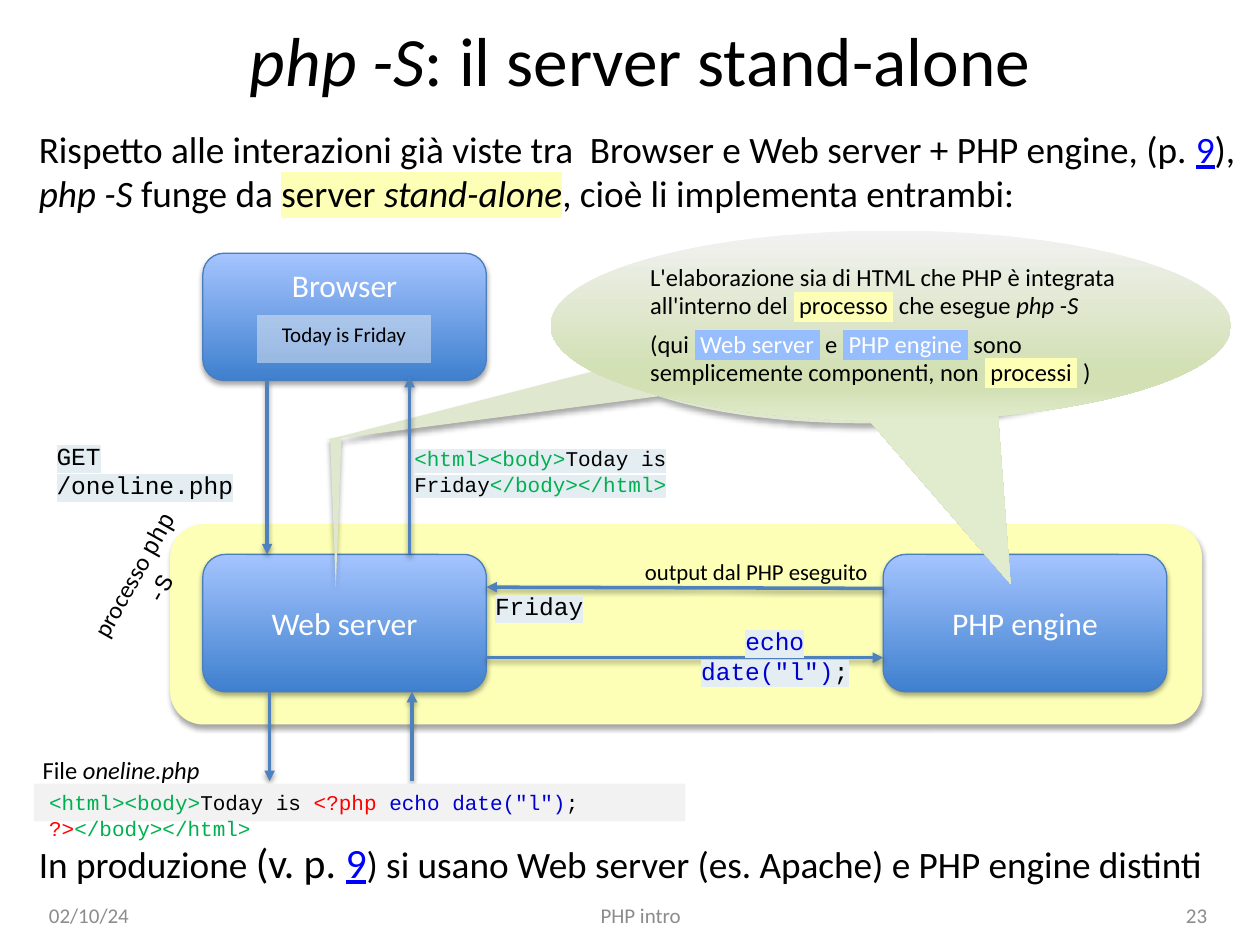
from dataclasses import dataclass

from lxml import etree
from pptx import Presentation
from pptx.dml.color import RGBColor
from pptx.enum import shapes, text
from pptx.oxml import ns
from pptx.util import Inches, Pt


@dataclass(frozen=True)
class Theme:
    sans: str = "Calibri"
    mono: str = "Courier New"
    black: str = "000000"
    white: str = "FFFFFF"
    muted: str = "8C8C8C"
    link: str = "0000FF"
    tag: str = "00B050"
    php: str = "FF0000"
    code: str = "0000CD"
    yellow: str = "FCFFB5"
    code_mark: str = "E4EDF2"
    box_mark: str = "96BDFD"
    panel: str = "F2F2F2"
    pointer: str = "DFE8CE"
    border: str = "4B7EBC"
    arrow: str = "4F81BD"
    box_stops: tuple = ((0, "3F80CE"), (100, "A4C4FF"))
    callout_stops: tuple = ((0, "F2F2F2"), (74, "D2E0B4"), (83, "D2E0B4"), (100, "E1EBCD"))
    title_size: float = 39.6
    body_size: float = 21.3
    page_ref_size: float = 23.8
    box_size: float = 18
    label_size: float = 14
    caption_size: float = 13
    small_size: float = 12


T = Theme()
SHAPE = shapes.MSO_SHAPE
LEFT, CENTER, RIGHT = text.PP_ALIGN.LEFT, text.PP_ALIGN.CENTER, text.PP_ALIGN.RIGHT
TOP, MIDDLE = text.MSO_ANCHOR.TOP, text.MSO_ANCHOR.MIDDLE


def rgb(color):
    return RGBColor.from_string(color)


def sub(parent, tag, **attributes):
    return etree.SubElement(parent, ns.qn(tag), {k: str(v) for k, v in attributes.items()})


def place(area):
    return [Inches(value) for value in area]


def add_shadow(shape, alpha=35, distance=1.8):
    effects = sub(shape._element.spPr, "a:effectLst")
    shadow = sub(effects, "a:outerShdw", blurRad=Pt(3.1), dist=Pt(distance),
                 dir=90 * 60000, rotWithShape=0)
    sub(sub(shadow, "a:srgbClr", val=T.black), "a:alpha", val=alpha * 1000)


def highlight(run, color):
    properties = run._r.get_or_add_rPr()
    mark = etree.Element(ns.qn("a:highlight"))
    sub(mark, "a:srgbClr", val=color)
    properties.insert(1 if properties.find(ns.qn("a:solidFill")) is not None else 0, mark)


def style_run(run, color=None, mark=None, italic=None, underline=None, size=None, font=None):
    if color:
        run.font.color.rgb = rgb(color)
    if mark:
        highlight(run, mark)
    if italic:
        run.font.italic = True
    if underline:
        run.font.underline = True
    if size:
        run.font.size = Pt(size)
    if font:
        run.font.name = font


def write(shape, *paragraphs, size, font=T.sans, color=T.black, align=LEFT, anchor=TOP,
          insets=None, line_spacing=None, gap=0):
    """Fill a shape; each paragraph lists plain strings, (string, style) pairs and line breaks."""
    frame = shape.text_frame
    frame.word_wrap = True
    frame.vertical_anchor = anchor
    if insets:
        (frame.margin_left, frame.margin_top,
         frame.margin_right, frame.margin_bottom) = place(insets)
    for index, pieces in enumerate(paragraphs):
        paragraph = frame.add_paragraph() if index else frame.paragraphs[0]
        paragraph.alignment = align
        if line_spacing:
            paragraph.line_spacing = line_spacing
        if index:
            paragraph.space_before = Pt(gap)
        paragraph.font.name = font
        paragraph.font.size = Pt(size)
        paragraph.font.color.rgb = rgb(color)
        for piece in pieces:
            if piece == "\n":
                paragraph.add_line_break()
                continue
            words, style = (piece, {}) if isinstance(piece, str) else piece
            run = paragraph.add_run()
            run.text = words
            style_run(run, **{"size": size, "font": font, "color": color, **style})


def add_label(slide, area, *paragraphs, rotation=0, **style):
    label = slide.shapes.add_textbox(*place(area))
    label.rotation = rotation
    write(label, *paragraphs, **style)


def add_panel(slide, kind, area, fill=None, stops=None, angle=0, border=None, shadow=False):
    """Add a preset shape with a plain fill, or gradient stops at a clockwise angle."""
    panel = slide.shapes.add_shape(kind, *place(area))
    panel.shadow.inherit = False
    if stops:
        panel.fill.gradient()
        panel.fill.gradient_angle = 360 - angle
        stop_list = panel._element.spPr.find(".//" + ns.qn("a:gsLst"))
        for old in list(stop_list):
            stop_list.remove(old)
        for position, color in stops:
            sub(sub(stop_list, "a:gs", pos=position * 1000), "a:srgbClr", val=color)
    else:
        panel.fill.solid()
        panel.fill.fore_color.rgb = rgb(fill)
    if border:
        panel.line.color.rgb = rgb(border)
        panel.line.width = Pt(0.75)
    else:
        panel.line.fill.background()
    if shadow:
        spPr = panel._element.spPr
        spPr.remove(spPr.find(ns.qn("a:effectLst")))
        add_shadow(panel)
    return panel


def add_component(slide, area, name, anchor=MIDDLE):
    box = add_panel(slide, SHAPE.ROUNDED_RECTANGLE, area, stops=T.box_stops, angle=270,
                    border=T.border, shadow=True)
    write(box, [name], size=T.box_size, color=T.white, align=CENTER, anchor=anchor)


def add_arrow(slide, start, end):
    arrow = slide.shapes.add_connector(shapes.MSO_CONNECTOR.STRAIGHT, *place(start + end))
    arrow.line.color.rgb = rgb(T.arrow)
    arrow.line.width = Pt(2)
    sub(arrow.line._get_or_add_ln(), "a:tailEnd", type="triangle")
    add_shadow(arrow, alpha=38, distance=1.6)


def add_callout(slide, area, tip, **look):
    callout = add_panel(slide, SHAPE.OVAL_CALLOUT, area, **look)
    callout.adjustments[0], callout.adjustments[1] = tip
    return callout


def main():
    deck = Presentation()
    deck.slide_width, deck.slide_height = Inches(10), Inches(7.5)
    slide = deck.slides.add_slide(deck.slide_layouts[6])
    italic = {"italic": True}
    yellow = {"mark": T.yellow}
    component = {"color": T.white, "mark": T.box_mark}
    marked = {"mark": T.code_mark}
    link = {"color": T.link, "underline": True}

    add_callout(slide, (4.64, 2.02, 4.41, 1.34), (-0.964, 0.598), fill=T.pointer, shadow=True)
    add_panel(slide, SHAPE.ROUNDED_RECTANGLE, (1.35, 4.16, 8.19, 1.59), T.yellow, shadow=True)

    add_label(slide, (0.39, 0.08, 9.38, 0.78),
              [("php -S", italic), ": il server stand-alone"],
              size=T.title_size, align=CENTER, anchor=MIDDLE)
    add_label(slide, (0.21, 0.95, 9.78, 0.98),
              ["Rispetto alle interazioni già viste tra  Browser e Web server + PHP engine, (p. ",
               ("9", link), "),", "\n", ("php -S", italic), " funge da ", ("server ", yellow),
               ("stand-alone", {**yellow, **italic}), ", cioè li implementa entrambi:"],
              size=T.body_size)
    for left, width, footer, align in ((0.29, 2.33, "02/10/24", LEFT),
                                       (3.5, 3.17, "PHP intro", CENTER),
                                       (7.35, 2.33, "23", RIGHT)):
        add_label(slide, (left, 7.06, width, 0.4), [footer], size=T.small_size,
                  color=T.muted, align=align, anchor=MIDDLE)

    add_component(slide, (1.61, 2.01, 2.25, 1.01), "Browser", TOP)
    add_component(slide, (1.61, 4.4, 2.25, 1.09), "Web server")
    add_component(slide, (7.01, 4.4, 2.25, 1.09), "PHP engine")

    for start, end in (((2.12, 3.02), (2.12, 4.4)), ((3.25, 4.4), (3.25, 2.99)),
                       ((7.01, 4.67), (3.86, 4.66)), ((3.86, 5.22), (7.01, 5.22)),
                       ((2.14, 5.49), (2.14, 6.2)), ((3.27, 6.2), (3.27, 5.49))):
        add_arrow(slide, start, end)

    mono = {"size": T.label_size, "font": T.mono}
    add_label(slide, (0.35, 3.45, 1.82, 0.34), [("GET /oneline.php", marked)], **mono)
    add_label(slide, (0.24, 5.94, 1.46, 0.34), ["File ", ("oneline.php", italic)],
              size=T.label_size)
    source = add_panel(slide, SHAPE.RECTANGLE, (0.27, 6.22, 5.17, 0.3), T.panel)
    write(source, [("<html><body>", {"color": T.tag}), "Today is ", ("<?php", {"color": T.php}),
                   (' echo date("l")', {"color": T.code}), "; ", ("?>", {"color": T.php}),
                   ("</body></html>", {"color": T.tag})],
          size=T.small_size, font=T.mono, insets=(0.12, 0.05, 0.04, 0.05))
    add_label(slide, (5.18, 4.92, 1.94, 0.34),
              [('echo date("l")', {**marked, "color": T.code}), (";", marked)],
              align=CENTER, **mono)
    add_label(slide, (3.78, 4.64, 1, 0.34), [("Friday", marked)], align=CENTER, **mono)
    add_label(slide, (5.02, 4.38, 2.05, 0.32), ["output dal PHP eseguito"], size=T.caption_size)
    tag = {**marked, "color": T.tag}
    add_label(slide, (3.19, 3.49, 3.67, 0.3),
              [("<html><body>", tag), ("Today is Friday", marked), ("</body></html>", tag)],
              size=T.small_size, font=T.mono)

    page = add_panel(slide, SHAPE.RECTANGLE, (2.04, 2.5, 1.38, 0.38), T.panel)
    sub(page._element.spPr.find(".//" + ns.qn("a:srgbClr")), "a:alpha", val=46000)
    write(page, ["Today is Friday"], size=T.small_size, align=CENTER)

    remark = add_callout(slide, (4.37, 1.83, 5.4, 1.51), (0.176, 1.358),
                         stops=T.callout_stops, angle=90)
    write(remark,
          ["L'elaborazione sia di HTML che PHP è integrata all'interno del ",
           (" processo ", yellow), " che esegue ", ("php -S", italic)],
          ["(qui ", (" Web server ", component), " e ", (" PHP engine ", component),
           " sono semplicemente componenti, non ", (" processi ", yellow), " )"],
          size=T.label_size, anchor=MIDDLE, insets=(0, 0, 0, 0), line_spacing=0.95, gap=6)

    add_label(slide, (0.21, 6.59, 9.66, 0.54),
              ["In produzione ", ("(v. p. ", {"size": T.page_ref_size}),
               ("9", {**link, "size": T.page_ref_size}),
               ") si usano Web server (es. Apache) e PHP engine distinti"], size=T.body_size)
    pointer = add_panel(slide, SHAPE.ISOSCELES_TRIANGLE, (2.62, 3.48, 0.09, 1.18),
                        T.pointer, shadow=True)
    pointer.rotation = 180
    add_label(slide, (0.28, 4.39, 1.56, 0.34), ["processo ", ("php -S", {"font": T.mono})],
              rotation=299.3, size=T.label_size, align=CENTER)
    deck.save("out.pptx")


if __name__ == "__main__":
    main()
